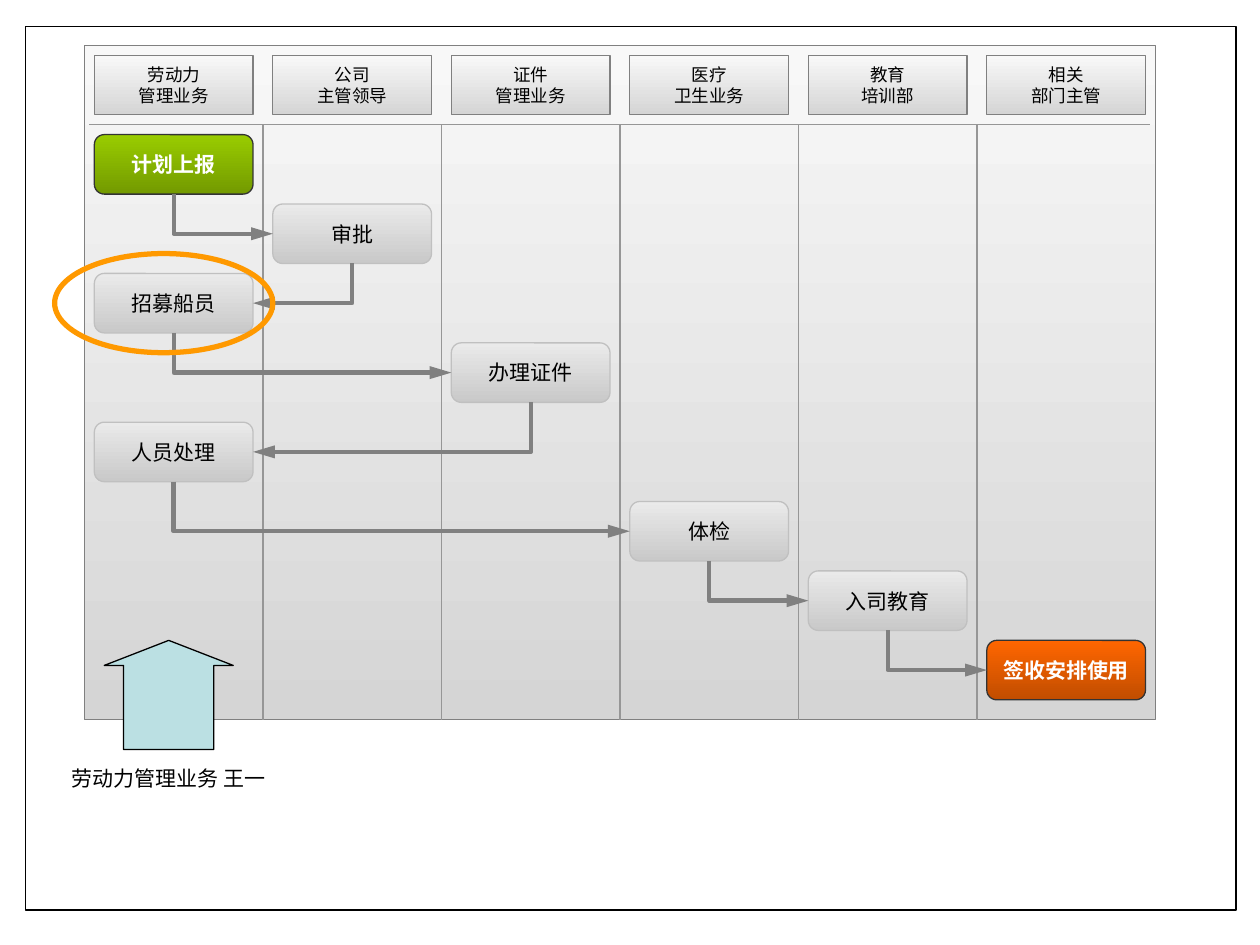
from dataclasses import dataclass

from lxml import etree
from pptx import Presentation, util as u
from pptx.dml.color import RGBColor
from pptx.enum import shapes, text
from pptx.oxml import ns

KIND = shapes.MSO_SHAPE


@dataclass(frozen=True)
class Theme:
    white: str = "FFFFFF"
    black: str = "000000"
    board: tuple = ("F8F8F8", "D5D5D5")
    board_line: str = "808080"
    divider: str = "969696"
    step: tuple = ("EAEAEA", "C9C9C9")
    step_line: str = "C0C0C0"
    start: tuple = ("99CC00", "739A00")
    finish: tuple = ("FF6600", "C14D00")
    end_line: str = "333333"
    pointer: str = "BBE0E3"
    highlight: str = "FF9900"
    font: str = "Arial"
    caption_font: str = "Noto Sans CJK SC"
    header_size: int = 10
    step_size: int = 12
    thin: float = 0.75
    flow: float = 2.5
    ring: float = 3


class FlowChart:
    """Draws on a grid whose origin is the top left corner of the board."""

    LANE = 18  # grid columns in a swimlane
    BOX = (16, 6)  # columns and rows of a header or step box
    COLUMNS, ROWS = 6 * LANE, 68

    def __init__(self, deck, theme):
        self.theme = theme
        self.deck = deck
        self.slide = deck.slides.add_slide(deck.slide_layouts[6])
        self.left = u.Inches(0.67)
        self.top = u.Inches(0.36)
        self.unit = u.Inches(8.5) / self.COLUMNS

    def x(self, column):
        return round(self.left + column * self.unit)

    def y(self, row):
        return round(self.top + row * self.unit)

    def size(self, count):
        return round(count * self.unit)

    def place(self, column, row, columns, rows):
        return self.x(column), self.y(row), self.size(columns), self.size(rows)

    def stroke(self, line, color, width):
        line.color.rgb = RGBColor.from_string(color)
        line.width = u.Pt(width)

    def shape(self, kind, bounds, fill, line, width=None):
        """Fill is a colour, a pair of colours from top to bottom, or None."""
        shape = self.slide.shapes.add_shape(kind, *bounds)
        shape.shadow.inherit = False
        self.stroke(shape.line, line, width or self.theme.thin)
        if fill is None:
            shape.fill.background()
        elif isinstance(fill, str):
            shape.fill.solid()
            shape.fill.fore_color.rgb = RGBColor.from_string(fill)
        else:
            shape.fill.gradient()
            shape.fill.gradient_angle = 270
            for stop, color in zip(shape.fill.gradient_stops, fill):
                stop.color.rgb = RGBColor.from_string(color)
        return shape

    def label(self, box, words, size, color, font=None, bold=False):
        frame = box.text_frame
        frame.word_wrap = False
        frame.vertical_anchor = text.MSO_ANCHOR.MIDDLE
        para = frame.paragraphs[0]
        para.text = words
        para.alignment = text.PP_ALIGN.CENTER
        para.font.name = font or self.theme.font
        para.font.size = u.Pt(size)
        para.font.bold = bold
        para.font.color.rgb = RGBColor.from_string(color)

    def frame(self):
        width, height = self.deck.slide_width, self.deck.slide_height
        bounds = [round(share * length) for share, length in
                  zip((0.02, 0.028, 0.961, 0.935), (width, height) * 2)]
        self.shape(KIND.RECTANGLE, bounds, self.theme.white, self.theme.black)

    def caption(self, words, *cells):
        box = self.slide.shapes.add_textbox(*self.place(*cells))
        self.label(box, words, self.theme.step_size, self.theme.black,
                   self.theme.caption_font)
        box.text_frame.word_wrap = True

    def board(self):
        self.shape(KIND.RECTANGLE, self.place(0, 0, self.COLUMNS, self.ROWS),
                   self.theme.board, self.theme.board_line)

    def header(self, lane, words):
        box = self.shape(KIND.RECTANGLE,
                         self.place(lane * self.LANE + 1, 1, *self.BOX),
                         self.theme.board, self.theme.board_line)
        self.label(box, words, self.theme.header_size, self.theme.black)

    def step(self, lane, row, words, accent=None):
        theme = self.theme
        box = self.shape(KIND.ROUNDED_RECTANGLE,
                         self.place(lane * self.LANE + 1, row, *self.BOX),
                         accent or theme.step,
                         theme.end_line if accent else theme.step_line)
        self.label(box, words, theme.step_size,
                   theme.white if accent else theme.black, bold=bool(accent))
        return box

    def connector(self, kind, start, end, color, width):
        line = self.slide.shapes.add_connector(kind, *start, *end)
        self.stroke(line.line, color, width)
        etree.SubElement(line._element.spPr, ns.qn("a:effectLst"))
        return line

    def divider(self, start, end):
        self.connector(shapes.MSO_CONNECTOR.STRAIGHT,
                       (self.x(start[0]), self.y(start[1])),
                       (self.x(end[0]), self.y(end[1])),
                       self.theme.divider, self.theme.thin)

    def flow(self, source, target):
        """Arrow that leaves the source downwards and enters the target's side."""
        forward = target.left > source.left
        start = (source.left + source.width // 2, source.top + source.height)
        end = (target.left if forward else target.left + target.width,
               target.top + target.height // 2)
        arrow = self.connector(shapes.MSO_CONNECTOR.ELBOW, start, end,
                               self.theme.board_line, self.theme.flow)
        arrow.begin_connect(source, 2)
        arrow.end_connect(target, 1 if forward else 3)
        # A single bend, turned a quarter so that its first leg is vertical
        across, down = abs(end[0] - start[0]), end[1] - start[1]
        arrow.left = (start[0] + end[0] - down) // 2
        arrow.top = (start[1] + end[1] - across) // 2
        arrow.width, arrow.height = down, across
        properties = arrow._element.spPr
        turn = properties.find(ns.qn("a:xfrm"))
        turn.set("rot", str((270 if forward else 90) * 60000))
        turn.set("flipH", "1" if forward else "0")
        properties.find(ns.qn("a:prstGeom")).set("prst", "bentConnector2")
        etree.SubElement(properties.find(ns.qn("a:ln")), ns.qn("a:tailEnd"),
                         type="triangle", w="med", len="lg")


def main():
    deck = Presentation()
    deck.slide_width, deck.slide_height = u.Inches(10), u.Inches(7.5)
    theme = Theme()
    chart = FlowChart(deck, theme)

    # Page frame, caption and board
    chart.frame()
    chart.caption("劳动力管理业务 王一", -3, 72, 23, 3.8)
    chart.board()

    # Swimlane headers and dividers
    headers = ("劳动力\n管理业务", "公司\n主管领导", "证件\n管理业务",
               "医疗\n卫生业务", "教育\n培训部", "相关\n部门主管")
    for lane, words in enumerate(headers):
        chart.header(lane, words)
    chart.divider((0.5, 8), (chart.COLUMNS - 0.5, 8))
    for lane in range(1, len(headers)):
        column = lane * chart.LANE
        chart.divider((column, 8), (column, chart.ROWS))

    # Process steps: lane, grid row, label, accent
    steps = [chart.step(*step) for step in (
        (0, 9, "计划上报", theme.start),
        (1, 16, "审批"),
        (0, 23, "招募船员"),
        (2, 30, "办理证件"),
        (0, 38, "人员处理"),
        (3, 46, "体检"),
        (4, 53, "入司教育"),
        (5, 60, "签收安排使用", theme.finish),
    )]
    for source, target in zip(steps, steps[1:]):
        chart.flow(source, target)

    # Pointer to the first lane and ring around the current step
    pointer = chart.shape(KIND.UP_ARROW, chart.place(2, 60, 13, 11),
                          theme.pointer, theme.black)
    pointer.adjustments[0], pointer.adjustments[1] = 0.7, 0.23
    chart.shape(KIND.OVAL, chart.place(-3, 21, 22, 10), None,
                theme.highlight, theme.ring)

    deck.save("out.pptx")


if __name__ == "__main__":
    main()
